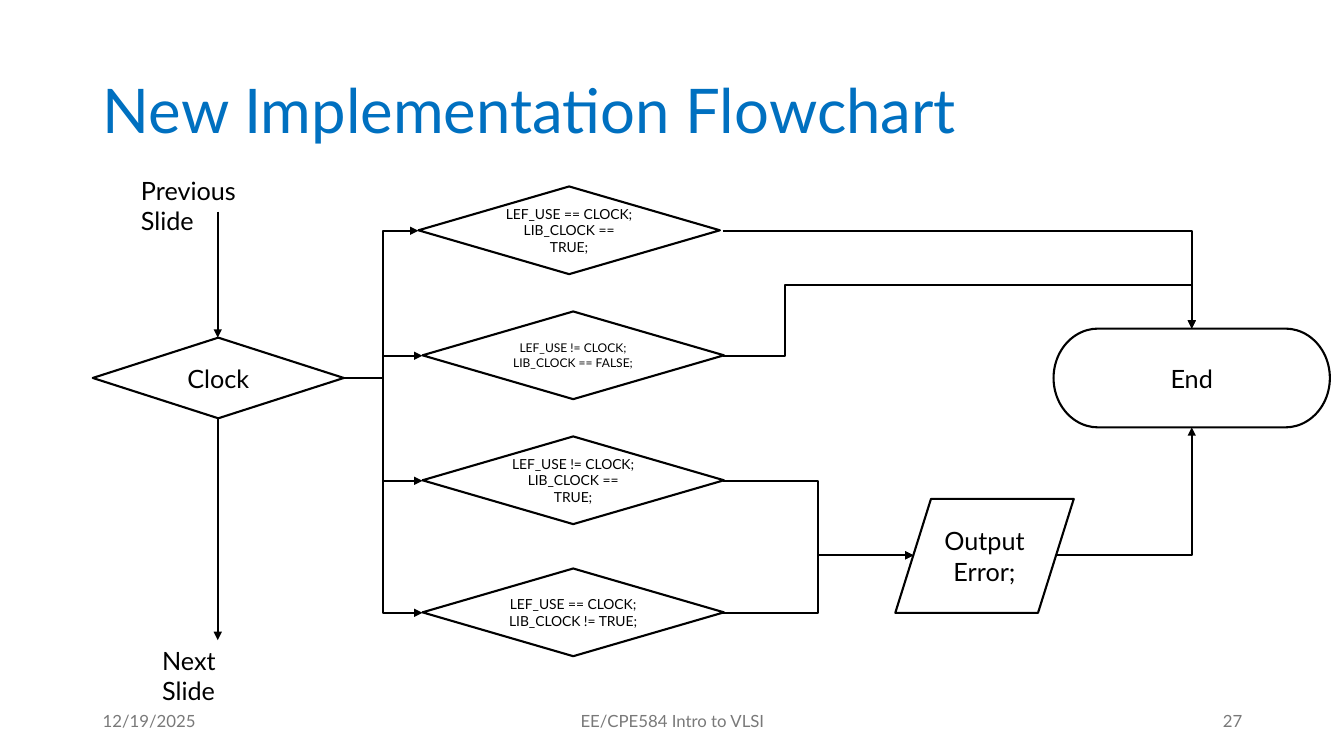
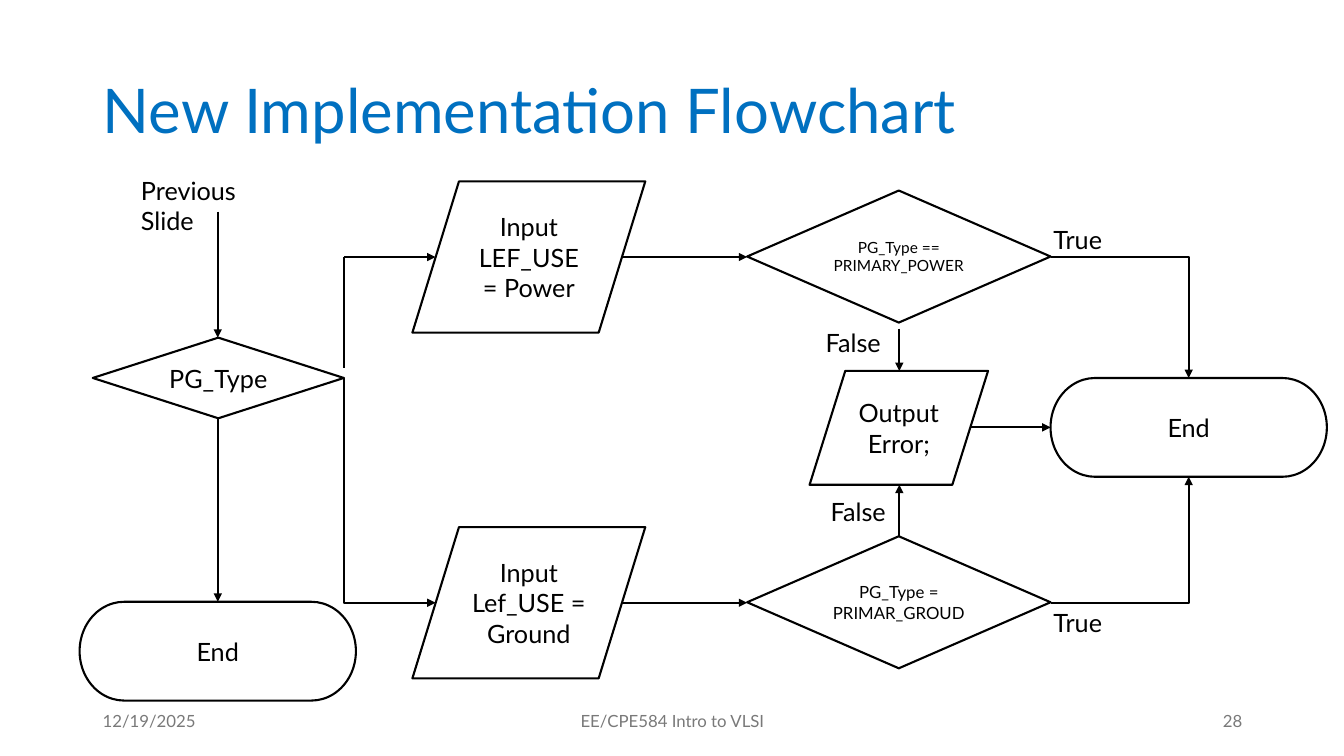
from lxml import etree
from pptx import Presentation
from pptx import util as u
from pptx.dml.color import RGBColor
from pptx.enum import shapes, text
from pptx.oxml import ns

PX = 9144
FONT = "Lato"
BLUE = RGBColor(0x00, 0x70, 0xC0)
GREY = RGBColor(0x79, 0x79, 0x79)
BLACK = RGBColor(0, 0, 0)
WHITE = RGBColor(255, 255, 255)
LINE_WIDTH = u.Pt(1.5)

LEFT, CENTER, RIGHT = text.PP_ALIGN.LEFT, text.PP_ALIGN.CENTER, text.PP_ALIGN.RIGHT
TOP, MIDDLE = text.MSO_ANCHOR.TOP, text.MSO_ANCHOR.MIDDLE
DECISION = shapes.MSO_SHAPE.FLOWCHART_DECISION
DATA = shapes.MSO_SHAPE.FLOWCHART_DATA
TERMINATOR = shapes.MSO_SHAPE.FLOWCHART_TERMINATOR
TOP_SITE, LEFT_SITE, BOTTOM_SITE, RIGHT_SITE = range(4)
DATA_LEFT_SITE, DATA_RIGHT_SITE = 2, 5

END_SIZE = (274, 98)
ERROR_SIZE = (177, 113)
CONDITION_SIZE = (299, 87)
INPUT_SIZE = (231, 150)
CHECK_SIZE = (301, 131)
START_X, START_Y, START_RIGHT = 216, 375, 341


def emu(*lengths):
    """Turn px lengths into EMU."""
    return [u.Emu(length * PX) for length in lengths]


def write(frame, content, size=18, color=BLACK, align=LEFT, anchor=TOP, spacing=1.0):
    """Fill a text frame with one paragraph per line of content."""
    frame.word_wrap = True
    frame.auto_size = text.MSO_AUTO_SIZE.NONE
    frame.vertical_anchor = anchor
    for index, line in enumerate(content.split("\n")):
        paragraph = frame.add_paragraph() if index else frame.paragraphs[0]
        paragraph.text = line
        paragraph.alignment = align
        paragraph.line_spacing = spacing
        paragraph.font.name = FONT
        paragraph.font.size = u.Pt(size)
        paragraph.font.color.rgb = color


def add_label(slide, box, content, **style):
    """Add a plain text box."""
    write(slide.shapes.add_textbox(*emu(*box)).text_frame, content, **style)


def add_node(slide, kind, position, size, content, font_size=18):
    """Add an outlined flowchart symbol with centred text and return it."""
    shape = slide.shapes.add_shape(kind, *emu(*position, *size))
    shape.shadow.inherit = False
    shape.fill.solid()
    shape.fill.fore_color.rgb = WHITE
    shape.line.color.rgb = BLACK
    shape.line.width = LINE_WIDTH
    write(shape.text_frame, content, size=font_size, align=CENTER, anchor=MIDDLE)
    return shape


def add_line(slide, start, end, kind=shapes.MSO_CONNECTOR.STRAIGHT, arrow=True):
    """Add a connector, by default with an arrowhead at its end."""
    connector = slide.shapes.add_connector(kind, *emu(*start, *end))
    connector.line.color.rgb = BLACK
    connector.line.width = LINE_WIDTH
    properties = connector.element.spPr
    etree.SubElement(properties, ns.qn("a:effectLst"))
    if arrow:
        etree.SubElement(properties.find(ns.qn("a:ln")), ns.qn("a:tailEnd"), type="triangle")
    return connector


def add_elbow(slide, start, end, source, target, preset="bentConnector3", bends=()):
    """Add a bent arrow glued to (shape, site) at both ends, bends in 1/1000 of its span."""
    connector = add_line(slide, start, end, kind=shapes.MSO_CONNECTOR.ELBOW)
    geometry = connector.element.spPr.find(ns.qn("a:prstGeom"))
    geometry.set("prst", preset)
    values = geometry.find(ns.qn("a:avLst"))
    if values is None:
        values = etree.SubElement(geometry, ns.qn("a:avLst"))
    for number, bend in enumerate(bends, 1):
        etree.SubElement(values, ns.qn("a:gd"), name=f"adj{number}", fmla=f"val {bend * 100}")
    glue = next(connector.element.iter(ns.qn("p:cNvCxnSpPr")))
    for tag, (shape, site) in (("a:stCxn", source), ("a:endCxn", target)):
        etree.SubElement(glue, ns.qn(tag), id=str(shape.shape_id), idx=str(site))


def add_flowchart_slide(presentation, number, question):
    """Add a slide with title, footers and first decision; return slide and decision."""
    slide = presentation.slides.add_slide(presentation.slide_layouts[5])
    title = slide.shapes.title
    title.left, title.top, title.width, title.height = emu(92, 40, 1150, 145)
    write(title.text_frame, "New Implementation Flowchart", size=44, color=BLUE,
          anchor=MIDDLE, spacing=0.9)
    for left, width, content, align in (
        (92, 300, "12/19/2025", LEFT),
        (442, 450, "EE/CPE584 Intro to VLSI", CENTER),
        (942, 300, str(number), RIGHT),
    ):
        add_label(slide, (left, 695, width, 40), content, size=12, color=GREY,
                  align=align, anchor=MIDDLE)
    decision = add_node(slide, DECISION, (92, 335), (249, 80), question)
    add_label(slide, (130, 169, 150, 40), "Previous Slide")
    add_line(slide, (START_X, 210), (START_X, 335))
    return slide, decision


def build_clock_slide(presentation):
    """Build the clock branch with its four conditions."""
    slide, clock = add_flowchart_slide(presentation, 27, "Clock")
    add_label(slide, (151, 635, 115, 40), "Next Slide")
    add_line(slide, (START_X, 415), (START_X, 635))

    end_x, error_y = 1182, 551
    error = add_node(slide, DATA, (888, 495), ERROR_SIZE, "Output Error;")
    end = add_node(slide, TERMINATOR, (1045, 326), END_SIZE, "End")
    to_end = (end_x, 326), (end, TOP_SITE), "bentConnector2", ()
    to_end_stepped = (end_x, 326), (end, TOP_SITE), "bentConnector4", (133, 2607)
    to_error = (906, error_y), (error, DATA_LEFT_SITE), "bentConnector3", ()
    for left, middle, bend, font_size, content, exit_route in (
        (415, 229, 526, 9.9, "LEF_USE == CLOCK;\nLIB_CLOCK == TRUE;", to_end),
        (419, 353, 500, 8.6, "LEF_USE != CLOCK;\nLIB_CLOCK == FALSE;", to_end_stepped),
        (419, 477, 500, 9.9, "LEF_USE != CLOCK;\nLIB_CLOCK == TRUE;", to_error),
        (419, 608, 500, 9.9, "LEF_USE == CLOCK;\nLIB_CLOCK != TRUE;", to_error),
    ):
        condition = add_node(slide, DECISION, (left, middle - 44), CONDITION_SIZE,
                             content, font_size)
        add_elbow(slide, (START_RIGHT, START_Y), (left, middle),
                  (clock, RIGHT_SITE), (condition, LEFT_SITE), bends=(bend,))
        stop, target, preset, bends = exit_route
        add_elbow(slide, (717, middle), stop, (condition, RIGHT_SITE), target, preset, bends)
    add_elbow(slide, (1047, error_y), (end_x, 424), (error, DATA_RIGHT_SITE),
              (end, BOTTOM_SITE), "bentConnector2")


def build_power_slide(presentation):
    """Build the power and ground branches."""
    slide, pg_type = add_flowchart_slide(presentation, 28, "PG_Type")
    add_node(slide, TERMINATOR, (79, 597), END_SIZE, "End")
    add_line(slide, (START_X, 415), (START_X, 597))
    end = add_node(slide, TERMINATOR, (1042, 375), END_SIZE, "End")
    add_node(slide, DATA, (803, 368), ERROR_SIZE, "Output Error;")
    add_line(slide, (962, 424), (1042, 424))

    check_x, end_x = 892, 1179
    for middle, input_text, check_text, font_size, end_y, site in (
        (255, "Input LEF_USE = Power", "PG_Type == PRIMARY_POWER", 11, 375, TOP_SITE),
        (598, "Input Lef_USE = Ground", "PG_Type = PRIMAR_GROUD", 12, 473, BOTTOM_SITE),
    ):
        source = add_node(slide, DATA, (409, middle - 75), INPUT_SIZE, input_text)
        check = add_node(slide, DECISION, (741, middle - 66), CHECK_SIZE, check_text, font_size)
        add_line(slide, (616, middle), (741, middle))
        add_elbow(slide, (1042, middle), (end_x, end_y), (check, RIGHT_SITE), (end, site),
                  "bentConnector2")
    add_elbow(slide, (START_RIGHT, START_Y), (432, 598), (pg_type, RIGHT_SITE),
              (source, DATA_LEFT_SITE), bends=(5,))
    add_line(slide, (START_RIGHT, 365), (START_RIGHT, 255), arrow=False)
    add_line(slide, (START_RIGHT, 255), (432, 255))
    add_line(slide, (check_x, 326), (check_x, 368))
    add_line(slide, (check_x, 532), (check_x, 481))

    for left, top, answer in (
        (809, 320, "False"), (814, 487, "False"), (1035, 598, "True"), (1035, 218, "True"),
    ):
        add_label(slide, (left, top, 91, 40), answer)


def main():
    """Build and save the presentation."""
    presentation = Presentation()
    presentation.slide_width, presentation.slide_height = emu(1333, 750)
    build_clock_slide(presentation)
    build_power_slide(presentation)
    presentation.save("out.pptx")


if __name__ == "__main__":
    main()
